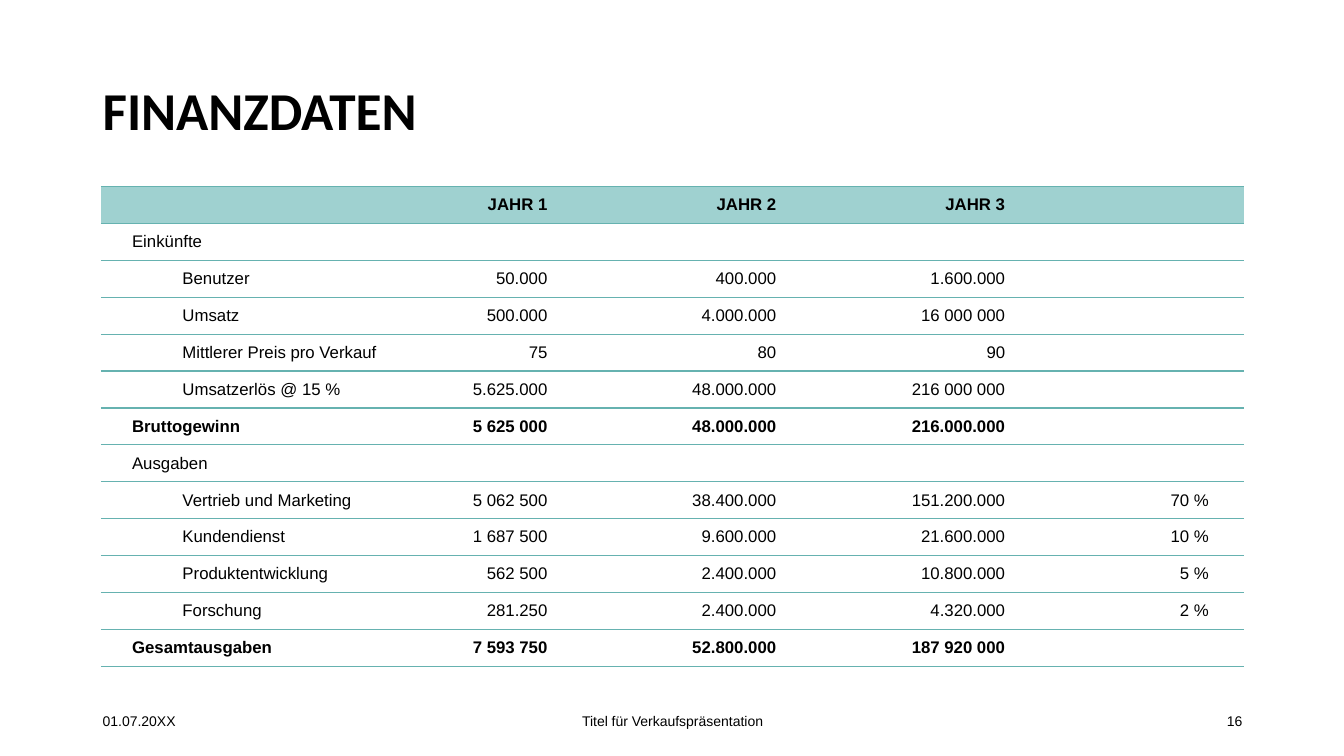
from lxml.etree import SubElement
from pptx import Presentation
from pptx.dml.color import RGBColor
from pptx.enum.text import MSO_ANCHOR, PP_ALIGN
from pptx.oxml.ns import qn
from pptx.util import Inches, Pt

# Content
TITLE = "FINANZDATEN"
HEADINGS = ["", "JAHR 1", "JAHR 2", "JAHR 3", ""]
# (kind, label, year 1, year 2, year 3, share)
FINANCES = [
    ("section", "Einkünfte", "", "", "", ""),
    ("item", "Benutzer", "50.000", "400.000", "1.600.000", ""),
    ("item", "Umsatz", "500.000", "4.000.000", "16 000 000", ""),
    ("item", "Mittlerer Preis pro Verkauf", "75", "80", "90", ""),
    ("item", "Umsatzerlös @ 15 %", "5.625.000", "48.000.000", "216 000 000", ""),
    ("total", "Bruttogewinn", "5 625 000", "48.000.000", "216.000.000", ""),
    ("section", "Ausgaben", "", "", "", ""),
    ("item", "Vertrieb und Marketing", "5 062 500", "38.400.000", "151.200.000", "70 %"),
    ("item", "Kundendienst", "1 687 500", "9.600.000", "21.600.000", "10 %"),
    ("item", "Produktentwicklung", "562 500", "2.400.000", "10.800.000", "5 %"),
    ("item", "Forschung", "281.250", "2.400.000", "4.320.000", "2 %"),
    ("total", "Gesamtausgaben", "7 593 750", "52.800.000", "187 920 000", ""),
]
# (text, left, width, alignment)
FOOTER = [
    ("01.07.20XX", 0.92, 3, PP_ALIGN.LEFT),
    ("Titel für Verkaufspräsentation", 4.42, 4.5, PP_ALIGN.CENTER),
    ("16", 9.42, 3, PP_ALIGN.RIGHT),
]

THEME = {
    "text": RGBColor.from_string("000000"),
    "header": RGBColor.from_string("9FD1D0"),
    "rule": "66B2B0",
    "title_font": "Calibri",
    "body_font": "Arial",
    "title_size": 38,
    "table_size": 12,
    "footer_size": 10,
}

# Layout in inches
TABLE_LEFT, TABLE_TOP, TABLE_HEIGHT = 1, 1.85, 4.76
COLUMN_WIDTHS = [2.95, 1.58, 2.27, 2.27, 2.27]
LABEL_INSET, SHARE_INSET, ITEM_INDENT = 0.31, 0.35, 0.5


def add_text(paragraph, text, font, size, bold=False, align=PP_ALIGN.LEFT):
    paragraph.alignment = align
    run = paragraph.add_run()
    run.text = text
    run.font.name = font
    run.font.size = Pt(size)
    run.font.bold = bold
    run.font.color.rgb = THEME["text"]


def add_box(slide, left, top, width, height):
    frame = slide.shapes.add_textbox(
        Inches(left), Inches(top), Inches(width), Inches(height)).text_frame
    frame.word_wrap = True
    frame.vertical_anchor = MSO_ANCHOR.MIDDLE
    return frame.paragraphs[0]


def rule_cell(cell):
    """Draw rules above and below the cell and none at its sides."""
    properties = cell._tc.get_or_add_tcPr()
    for side in ("lnL", "lnR"):
        SubElement(SubElement(properties, qn(f"a:{side}"), w="0"), qn("a:noFill"))
    for side in ("lnT", "lnB"):
        line = SubElement(properties, qn(f"a:{side}"), w=str(Pt(1)))
        SubElement(SubElement(line, qn("a:solidFill")), qn("a:srgbClr"), val=THEME["rule"])


def fill_cell(cell, kind, column, text):
    rule_cell(cell)
    if kind == "header":
        cell.fill.solid()
        cell.fill.fore_color.rgb = THEME["header"]
    else:
        cell.fill.background()
    cell.vertical_anchor = MSO_ANCHOR.MIDDLE
    paragraph = cell.text_frame.paragraphs[0]
    if not text:
        SubElement(paragraph._p, qn("a:endParaRPr"), sz=str(THEME["table_size"] * 100))
        return
    if column == 0:
        cell.margin_left = Inches(LABEL_INSET)
        if kind == "item":
            paragraph.level = 1
            paragraph._p.get_or_add_pPr().set("marL", str(Inches(ITEM_INDENT)))
    elif column == len(COLUMN_WIDTHS) - 1:
        cell.margin_right = Inches(SHARE_INSET)
    add_text(paragraph, text, THEME["body_font"], THEME["table_size"],
             bold=kind in ("header", "total"),
             align=PP_ALIGN.RIGHT if column else PP_ALIGN.LEFT)


def main():
    deck = Presentation()
    deck.slide_width, deck.slide_height = Inches(13.33), Inches(7.5)
    slide = deck.slides.add_slide(deck.slide_layouts[6])

    # Title
    title = add_box(slide, 0.92, 0.4, 11.5, 1.45)
    title.line_spacing = 0.9
    add_text(title, TITLE, THEME["title_font"], THEME["title_size"], bold=True)

    # Financial table
    rows = [("header", *HEADINGS), *FINANCES]
    finances = slide.shapes.add_table(
        len(rows), len(COLUMN_WIDTHS), Inches(TABLE_LEFT), Inches(TABLE_TOP),
        Inches(sum(COLUMN_WIDTHS)), Inches(TABLE_HEIGHT)).table
    finances.first_row = finances.horz_banding = False
    for column, width in zip(finances.columns, COLUMN_WIDTHS):
        column.width = Inches(width)
    for row, (kind, *texts) in enumerate(rows):
        for column, text in enumerate(texts):
            fill_cell(finances.cell(row, column), kind, column, text)

    # Footer
    for text, left, width, align in FOOTER:
        add_text(add_box(slide, left, 6.95, width, 0.4), text,
                 THEME["body_font"], THEME["footer_size"], align=align)

    deck.save("out.pptx")


if __name__ == "__main__":
    main()
